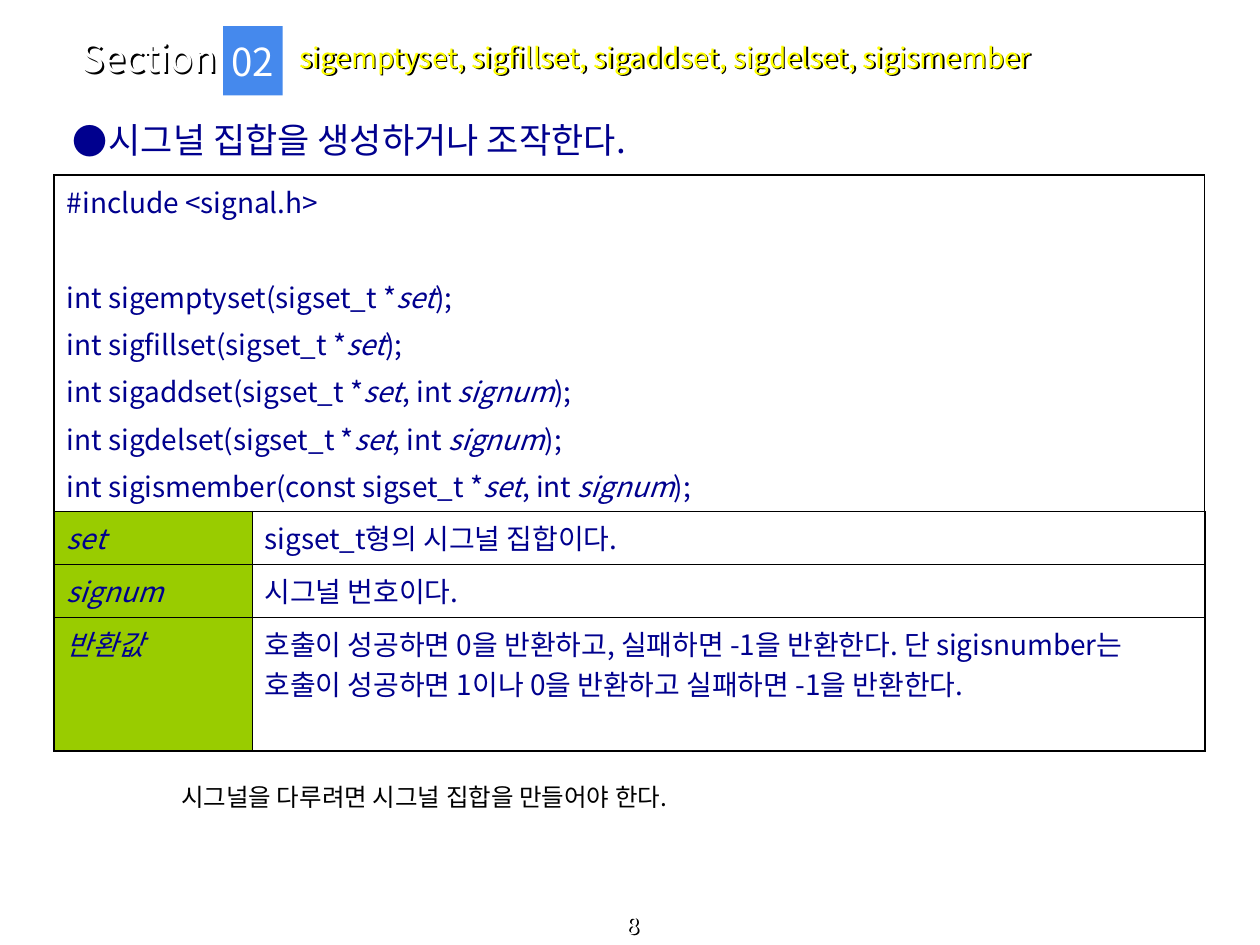
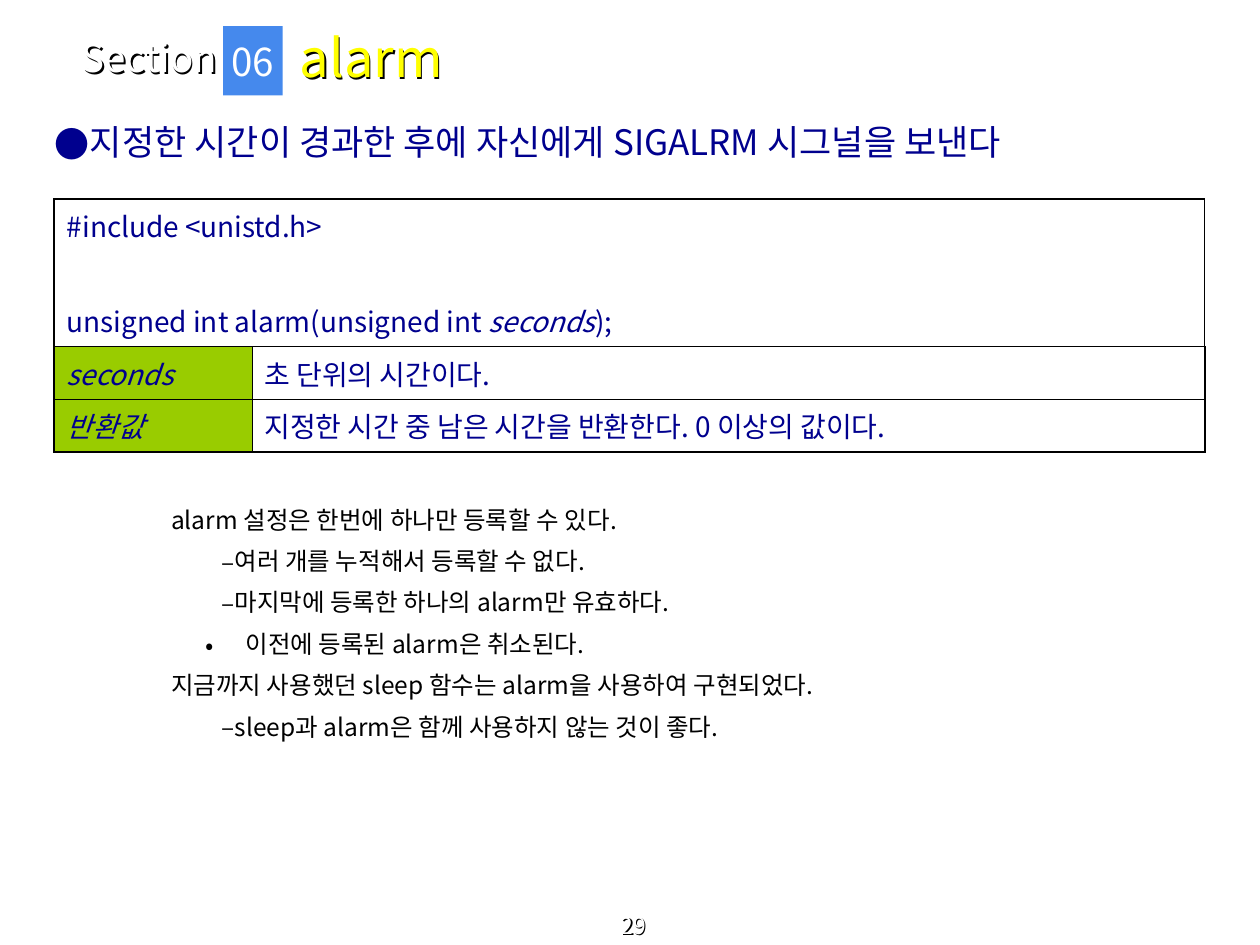
"""Builds two reference slides on signal-handling functions."""
from lxml import etree
from pptx import Presentation
from pptx.dml.color import RGBColor
from pptx.enum.shapes import MSO_SHAPE
from pptx.enum.text import MSO_ANCHOR as ANCHOR, PP_ALIGN as ALIGN
from pptx.oxml.ns import qn
from pptx.util import Pt

FONT = "Noto Sans CJK KR"
NAVY, BLACK, WHITE, YELLOW = "00008E", "000000", "FFFFFF", "FFFF00"
GREEN, BLUE = "99CC00", "4589ED"

CODE_SIZE, CODE_LINE, CODE_GAP, PAD = 16, 23, 4, 7.2
TABLE_LEFT, COLUMNS = 31, (113, 544.5)
OUTER, INNER = 1.08, 0.45

PARA_STYLES = {
    "plain": (None, 0, 0),
    "headline": ("●", 20.5, -20.5),
    "dash": ("–", 14.4, 14.4),
    "dot": ("•", 42.5, -22.7),
}

SLIDES = [
    dict(
        section="02", page="8", title_size=16,
        title="sigemptyset, sigfillset, sigaddset, sigdelset, sigismember",
        headline="시그널 집합을 생성하거나 조작한다.", headline_box=(34.5, 64, 355, 32),
        table_top=100,
        include="#include <signal.h>",
        code=[
            "int sigemptyset(sigset_t *|set|);",
            "int sigfillset(sigset_t *|set|);",
            "int sigaddset(sigset_t *|set|, int |signum|);",
            "int sigdelset(sigset_t *|set|, int |signum|);",
            "int sigismember(const sigset_t *|set|, int |signum|);",
        ],
        terms=[
            ("set", "sigset_t형의 시그널 집합이다.", 30.2),
            ("signum", "시그널 번호이다.", 30.2),
            ("반환값", "호출이 성공하면 0을 반환하고, 실패하면 -1을 반환한다. 단 sigisnumber는 "
                    "호출이 성공하면 1이나 0을 반환하고 실패하면 -1을 반환한다.", 76.5),
        ],
        notes_box=(96.5, 445.5, 598, 28), notes_spacing=0.9,
        notes=[("plain", "시그널을 다루려면 시그널 집합을 만들어야 한다.")],
    ),
    dict(
        section="06", page="29", title_size=30, title="alarm",
        headline="지정한 시간이 경과한 후에 자신에게 SIGALRM 시그널을 보낸다",
        headline_box=(23.8, 65.5, 672, 39.6),
        table_top=113.8,
        include="#include <unistd.h>",
        code=["unsigned int alarm(unsigned int |seconds|);"],
        terms=[
            ("seconds", "초 단위의 시간이다.", 30.2),
            ("반환값", "지정한 시간 중 남은 시간을 반환한다. 0 이상의 값이다.", 30.2),
        ],
        notes_box=(90.7, 281.5, 575, 164), notes_spacing=1.2,
        notes=[
            ("plain", "alarm 설정은 한번에 하나만 등록할 수 있다."),
            ("dash", "여러 개를 누적해서 등록할 수 없다."),
            ("dash", "마지막에 등록한 하나의 alarm만 유효하다."),
            ("dot", "이전에 등록된 alarm은 취소된다."),
            ("plain", "지금까지 사용했던 sleep 함수는 alarm을 사용하여 구현되었다."),
            ("dash", "sleep과 alarm은 함께 사용하지 않는 것이 좋다."),
        ],
    ),
]


def rgb(color):
    return RGBColor.from_string(color)


def add_run(p, text, size, color, italic=False):
    r = p.add_run()
    r.text = text
    r.font.size, r.font.italic, r.font.name = Pt(size), italic, FONT
    r.font.color.rgb = rgb(color)
    etree.SubElement(r._r.get_or_add_rPr(), qn("a:ea"), typeface=FONT)


def next_paragraph(tf, before):
    if not tf.paragraphs[0].runs:
        return tf.paragraphs[0]
    p = tf.add_paragraph()
    p.space_before = Pt(before)
    return p


def set_style(p, style, color):
    bullet, margin, indent = PARA_STYLES[style]
    if bullet:
        pPr = p._p.get_or_add_pPr()
        pPr.set("marL", str(Pt(margin)))
        pPr.set("indent", str(Pt(indent)))
        bu_color = etree.SubElement(pPr, qn("a:buClr"))
        etree.SubElement(bu_color, qn("a:srgbClr"), val=color)
        etree.SubElement(pPr, qn("a:buFont"), typeface=FONT)
        etree.SubElement(pPr, qn("a:buChar"), char=bullet)


def add_text(s, box, lines, size, color, anchor=ANCHOR.TOP, align=ALIGN.LEFT, spacing=None, shadow=False):
    sp = s.shapes.add_textbox(*map(Pt, box))
    tf = sp.text_frame
    tf.word_wrap, tf.vertical_anchor = True, anchor
    for style, text in lines:
        p = next_paragraph(tf, 3.5)
        p.alignment = align
        if spacing:
            p.line_spacing = spacing
        set_style(p, style, color)
        add_run(p, text, size, color)
    if shadow:
        effects = etree.SubElement(sp._element.spPr, qn("a:effectLst"))
        outer = etree.SubElement(effects, qn("a:outerShdw"), dist=str(Pt(1.4)), dir="2700000", algn="tl")
        etree.SubElement(outer, qn("a:srgbClr"), val=BLACK)


def add_badge(s, number):
    sp = s.shapes.add_shape(MSO_SHAPE.RECTANGLE, *map(Pt, (127.5, 15, 34, 39.6)))
    sp.shadow.inherit = False
    sp.fill.solid()
    sp.fill.fore_color.rgb = rgb(BLUE)
    sp.line.fill.background()
    tf = sp.text_frame
    tf.word_wrap, tf.vertical_anchor = False, ANCHOR.MIDDLE
    p = tf.paragraphs[0]
    p.alignment = ALIGN.CENTER
    add_run(p, number, 22, WHITE)


def style_cell(cell, edges, fill=None):
    tcPr = cell._tc.get_or_add_tcPr()
    for side, outside in edges.items():
        ln = etree.SubElement(tcPr, qn("a:ln" + side), w=str(Pt(OUTER if outside else INNER)))
        solid = etree.SubElement(ln, qn("a:solidFill"))
        etree.SubElement(solid, qn("a:srgbClr"), val=BLACK)
    if fill:
        cell.fill.solid()
        cell.fill.fore_color.rgb = rgb(fill)
    else:
        cell.fill.background()


def add_code(tf, include, code):
    add_run(tf.paragraphs[0], include, CODE_SIZE, NAVY)
    for i, line in enumerate(code):
        p = next_paragraph(tf, CODE_GAP if i else 2 * CODE_GAP + CODE_LINE)
        for j, part in enumerate(line.split("|")):
            add_run(p, part, CODE_SIZE, NAVY, italic=j % 2 == 1)


def add_reference(s, top, include, code, terms):
    code_height = (len(code) + 2) * (CODE_LINE + CODE_GAP) - CODE_GAP + PAD
    heights = [code_height] + [height for *_, height in terms]
    box = TABLE_LEFT, top, sum(COLUMNS), sum(heights)
    table = s.shapes.add_table(len(heights), 2, *map(Pt, box)).table
    table.first_row = table.horz_banding = False
    for column, width in zip(table.columns, COLUMNS):
        column.width = Pt(width)
    last = len(heights) - 1
    for i, height in enumerate(heights):
        table.rows[i].height = Pt(height)
        for j in range(2):
            edges = dict(L=j == 0, R=j == 1, T=i == 0, B=i == last)
            style_cell(table.cell(i, j), edges, GREEN if i and j == 0 else None)
    table.cell(0, 0).merge(table.cell(0, 1))
    add_code(table.cell(0, 0).text_frame, include, code)
    for i, (term, meaning, _) in enumerate(terms, 1):
        for j, text in enumerate((term, meaning)):
            p = table.cell(i, j).text_frame.paragraphs[0]
            add_run(p, text, CODE_SIZE, NAVY, italic=j == 0)


def add_frame(s, section, title, title_size, page):
    add_text(s, (3.6, 524.2, 716.4, 15.8), [("plain", page)], 13, WHITE,
             ANCHOR.BOTTOM, ALIGN.CENTER, shadow=True)
    add_text(s, (39.6, 19.5, 139, 26.6), [("plain", "Section")], 22, WHITE, ANCHOR.MIDDLE, shadow=True)
    add_text(s, (164.2, 8, 467.3, 49), [("plain", title)], title_size, YELLOW, ANCHOR.MIDDLE, shadow=True)
    add_badge(s, section)


def main():
    prs = Presentation()
    prs.slide_width, prs.slide_height = Pt(720), Pt(540)
    for d in SLIDES:
        s = prs.slides.add_slide(prs.slide_layouts[6])
        add_frame(s, d["section"], d["title"], d["title_size"], d["page"])
        add_text(s, d["headline_box"], [("headline", d["headline"])], 20, NAVY)
        add_reference(s, d["table_top"], d["include"], d["code"], d["terms"])
        add_text(s, d["notes_box"], d["notes"], 14, BLACK, spacing=d["notes_spacing"])
    prs.save("out.pptx")


if __name__ == "__main__":
    main()
